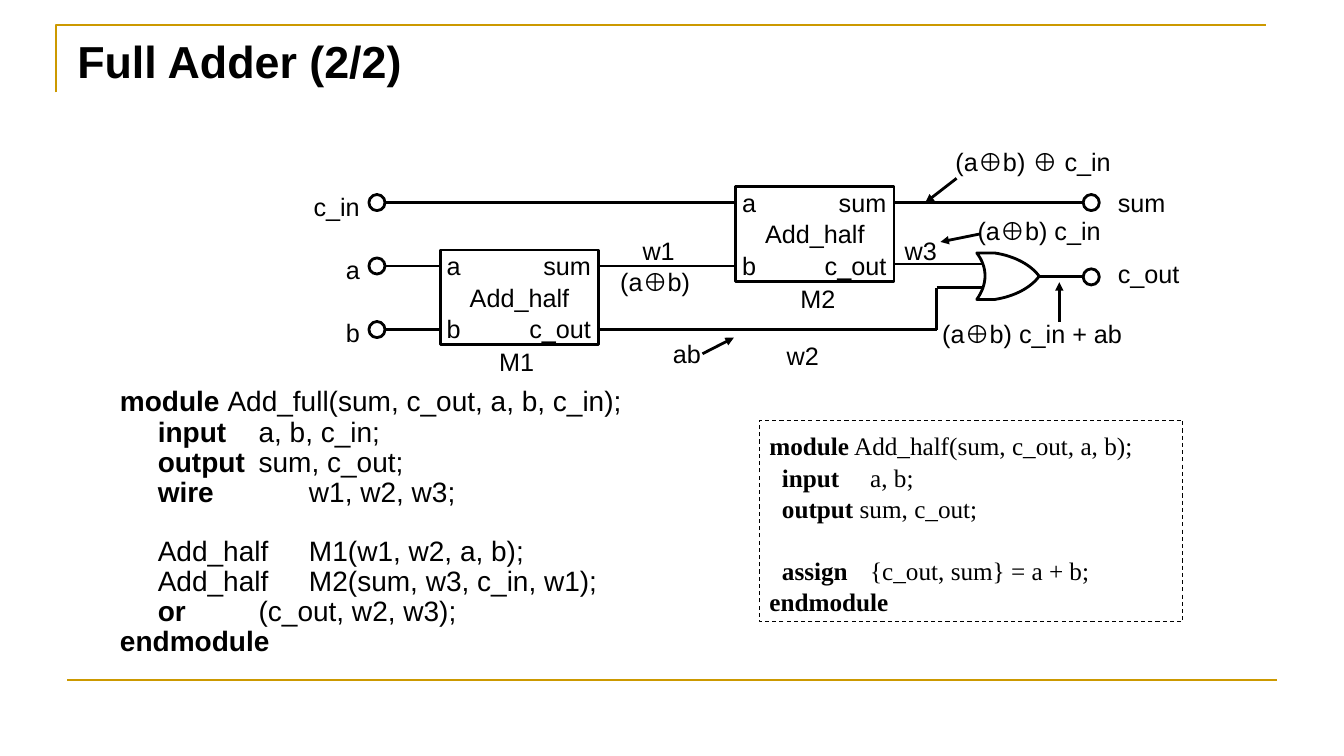
from pptx import Presentation
from pptx.dml.color import RGBColor
from pptx.enum.dml import MSO_LINE
from pptx.enum.shapes import MSO_CONNECTOR, MSO_SHAPE
from pptx.enum.text import MSO_ANCHOR as ANCHOR, MSO_AUTO_SIZE, PP_ALIGN as AL
from pptx.oxml.ns import qn
from pptx.util import Pt
from lxml.etree import SubElement

BLACK = RGBColor(0x00, 0x00, 0x00)
WHITE = RGBColor(0xFF, 0xFF, 0xFF)
GOLD = RGBColor(0xCC, 0x99, 0x00)
ARIAL, TIMES = "Arial", "Times New Roman"

# Content: code lines are (plain lead, bold keyword, plain rest, blank line above)
TITLE = "Full Adder (2/2)"
FULL_ADDER = [
    ("", "module ", "Add_full(sum, c_out, a, b, c_in);", False),
    ("\t", "input", "\ta, b, c_in;", False),
    ("\t", "output", "\tsum, c_out;", False),
    ("\t", "wire", "\t\tw1, w2, w3;", False),
    ("\tAdd_half \tM1(w1, w2, a, b);", "", "", True),
    ("\tAdd_half \tM2(sum, w3, c_in, w1);", "", "", False),
    ("\t", "or", "\t\t(c_out, w2, w3);", False),
    ("", "endmodule", "", False),
]
HALF_ADDER = [
    ("", "module", " Add_half(sum, c_out, a, b);", False),
    ("  ", "input", "\ta, b;", False),
    ("  ", "output", " sum, c_out;", False),
    ("  ", "assign", "\t{c_out, sum} = a + b;", True),
    ("", "endmodule", "", False),
]
BLOCK_ROWS = [("a\tsum", AL.LEFT), ("Add_half", AL.CENTER), ("b\tc_out", AL.LEFT)]

# Circuit geometry: signal heights, columns, blocks
ROW_C, ROW_A, ROW_B, ROW_W3, ROW_W2 = 144.7, 190, 235.4, 188.6, 205.6
COUT = 197.8
IN_X, OUT_X, DOT = 269.3, 779.5, 11.5
BLOCK_W, BLOCK_H = 113, 67.7
M1_X, M2_X, W2_X, GATE_X = 314.6, 525.6, 669, 697.7
BLOCKS = [(M1_X, 178.6), (M2_X, 133.2)]
TERMINALS = [(IN_X, ROW_C), (IN_X, ROW_A), (IN_X, ROW_B), (OUT_X, ROW_C), (OUT_X, COUT)]
IN_END, OUT_START = IN_X + DOT / 2, OUT_X - DOT / 2
M1_END, M2_END, GATE_MID = M1_X + BLOCK_W, M2_X + BLOCK_W, GATE_X + 22
WIRES = [
    (IN_END, ROW_C, M2_X, ROW_C),
    (IN_END, ROW_A, M1_X, ROW_A),
    (IN_END, ROW_B, M1_X, ROW_B),
    (M1_END, ROW_A, M2_X, ROW_A),
    (M2_END, ROW_C, OUT_START, ROW_C),
    (M2_END, ROW_W3, GATE_MID, ROW_W3),
    (M1_END, ROW_B, W2_X, ROW_B),
    (W2_X, ROW_B, W2_X, ROW_W2),
    (W2_X, ROW_W2, GATE_MID, ROW_W2),
    (GATE_MID, COUT, OUT_START, COUT),
]
ARROWS = [
    (683.3, 127.4, 661, 144.7),
    (700.6, 167, 671.8, 172.8),
    (501.8, 252.7, 524.2, 241.2),
    (756.7, 229.7, 756.7, 201.6),
]
# Labels: text, x of the aligned edge or centre, middle y, alignment
LABELS = [
    ("c_in", 257, 147.2, AL.RIGHT), ("a", 257, 192.7, AL.RIGHT),
    ("b", 257, 237.3, AL.RIGHT), ("sum", 798.5, 144.5, AL.LEFT),
    ("c_out", 798.5, 195.6, AL.LEFT), ("(a⊕b) ⊕ c_in", 738, 115, AL.CENTER),
    ("(a⊕b) c_in", 742.3, 164.6, AL.CENTER), ("(a⊕b) c_in + ab", 737.3, 238, AL.CENTER),
    ("w1", 470.5, 179, AL.CENTER), ("(a⊕b)", 468, 201.3, AL.CENTER),
    ("w2", 573.5, 253.8, AL.CENTER), ("w3", 657.7, 179, AL.CENTER),
    ("ab", 490.7, 252.4, AL.CENTER), ("M1", 369, 258.2, AL.CENTER),
    ("M2", 584.3, 212.8, AL.CENTER),
]


def set_attrs(obj, **values):
    for name, value in values.items():
        setattr(obj, name, value)


def add_run(p, text, size=18, font=ARIAL, bold=False):
    r = p.add_run()
    r.text = text
    set_attrs(r.font, size=Pt(size), name=font, bold=bold)
    r.font.color.rgb = BLACK


def set_frame(tf, anchor=ANCHOR.TOP, x=7.2, y=3.6):
    set_attrs(tf, word_wrap=True, auto_size=MSO_AUTO_SIZE.NONE, vertical_anchor=anchor,
              margin_left=Pt(x), margin_right=Pt(x), margin_top=Pt(y), margin_bottom=Pt(y))


def place(sp, x, y, w, h):
    set_attrs(sp, left=Pt(x), top=Pt(y), width=Pt(w), height=Pt(h))


def next_paragraph(tf, i):
    return tf.add_paragraph() if i else tf.paragraphs[0]


def add_code(tf, lines, size, font, gap, blank, hang=0, spacing=1.0):
    for i, (lead, keyword, rest, skip) in enumerate(lines):
        p = next_paragraph(tf, i)
        pPr = p._p.get_or_add_pPr()
        pPr.set("marL", str(Pt(hang)))
        pPr.set("indent", str(Pt(-hang)))
        SubElement(pPr, qn("a:buNone"))
        before = (gap + skip * blank) if i else 0
        set_attrs(p, alignment=AL.LEFT, line_spacing=spacing, space_before=Pt(before))
        for text, bold in ((lead, False), (keyword, True), (rest, False)):
            if text:
                add_run(p, text, size, font, bold)


def set_line(sp, color=BLACK, width=2):
    sp.line.color.rgb = color
    sp.line.width = Pt(width)


def add_line(shapes, ends, color=BLACK, width=2, arrow=False):
    sp = shapes.add_connector(MSO_CONNECTOR.STRAIGHT, *map(Pt, ends))
    set_line(sp, color, width)
    SubElement(sp._element.spPr, qn("a:effectLst"))
    if arrow:
        SubElement(sp.line._get_or_add_ln(), qn("a:tailEnd"), type="triangle")


def add_box(shapes, kind, x, y, w, h, fill=None):
    sp = shapes.add_shape(kind, Pt(x), Pt(y), Pt(w), Pt(h))
    sp.shadow.inherit = False
    if fill is None:
        sp.fill.background()
    else:
        sp.fill.solid()
        sp.fill.fore_color.rgb = fill
    set_line(sp)
    return sp


def add_outline(shapes, points, close=False):
    emu = [(Pt(x), Pt(y)) for x, y in points]
    fb = shapes.build_freeform(*emu[0])
    fb.add_line_segments(emu[1:], close=close)
    sp = fb.convert_to_shape()
    sp.shadow.inherit = False
    return sp


def curve(a, b, c, d, steps=16):
    ts = [i / steps for i in range(steps + 1)]
    return [tuple((1 - t) ** 3 * k + 3 * t * (1 - t) ** 2 * m + 3 * t * t * (1 - t) * n + t ** 3 * q
                  for k, m, n, q in zip(a, b, c, d)) for t in ts]


def main():
    prs = Presentation()
    set_attrs(prs, slide_width=Pt(960), slide_height=Pt(540))
    slide = prs.slides.add_slide(prs.slide_layouts[1])
    shapes = slide.shapes

    # Gold frame lines
    sp = add_outline(shapes, [(40, 66), (40, 18), (904, 18)])
    sp.fill.background()
    set_line(sp, GOLD, 1.5)
    add_line(shapes, (48, 486, 912, 486), GOLD, 1.5)

    # Title and full adder code
    title, body = shapes.title, slide.placeholders[1]
    place(title, 48, 9.4, 800, 57)
    set_frame(title.text_frame, ANCHOR.BOTTOM)
    p = title.text_frame.paragraphs[0]
    p.alignment = AL.LEFT
    add_run(p, TITLE, 32, bold=True)
    place(body, 78.5, 277.2, 440, 200)
    set_frame(body.text_frame)
    add_code(body.text_frame, FULL_ADDER, 20, ARIAL, 4.7, 20.8, hang=27, spacing=0.7)

    # Half adder code in a dashed box
    sp = add_box(shapes, MSO_SHAPE.RECTANGLE, 542.5, 300.2, 302.5, 144, WHITE)
    set_line(sp, BLACK, 0.75)
    sp.line.dash_style = MSO_LINE.DASH
    set_frame(sp.text_frame, y=7.2)
    add_code(sp.text_frame, HALF_ADDER, 18, TIMES, 0.9, 21.6)

    # Wires, arrows and terminals
    for ends in WIRES:
        add_line(shapes, ends)
    for ends in ARROWS:
        add_line(shapes, ends, arrow=True)
    for x, y in TERMINALS:
        add_box(shapes, MSO_SHAPE.OVAL, x - DOT / 2, y - DOT / 2, DOT, DOT)

    # Half adder blocks, output names set on a right tab
    for x, y in BLOCKS:
        tf = add_box(shapes, MSO_SHAPE.RECTANGLE, x, y, BLOCK_W, BLOCK_H).text_frame
        set_frame(tf, ANCHOR.MIDDLE, x=4.5, y=0)
        for i, (text, align) in enumerate(BLOCK_ROWS):
            p = next_paragraph(tf, i)
            tabs = SubElement(p._p.get_or_add_pPr(), qn("a:tabLst"))
            SubElement(tabs, qn("a:tab"), pos=str(Pt(BLOCK_W - 10)), algn="r")
            set_attrs(p, alignment=align, space_before=Pt(0.9 if i else 0))
            add_run(p, text)

    # OR gate
    top, mid, low, tip, shoulder = 180.7, 197.3, 213.9, 742.3, 710.6
    gate = (curve((tip, mid), (736.6, 205.2), (725, 211.7), (shoulder, low))
            + curve((GATE_X, low), (705.6, 203), (705.6, 190.8), (GATE_X, top))
            + curve((shoulder, top), (725, 182.9), (736.6, 189.4), (tip, mid)))
    sp = add_outline(shapes, gate, close=True)
    sp.fill.solid()
    sp.fill.fore_color.rgb = WHITE
    set_line(sp)

    # Signal labels
    for text, x, y, align in LABELS:
        w, h = 10 * len(text) + 8, 24
        shift = {AL.LEFT: 0, AL.CENTER: w / 2, AL.RIGHT: w}[align]
        tf = shapes.add_textbox(Pt(x - shift), Pt(y - h / 2), Pt(w), Pt(h)).text_frame
        set_frame(tf, ANCHOR.MIDDLE, 0, 0)
        tf.paragraphs[0].alignment = align
        add_run(tf.paragraphs[0], text)

    prs.save("out.pptx")


if __name__ == "__main__":
    main()
